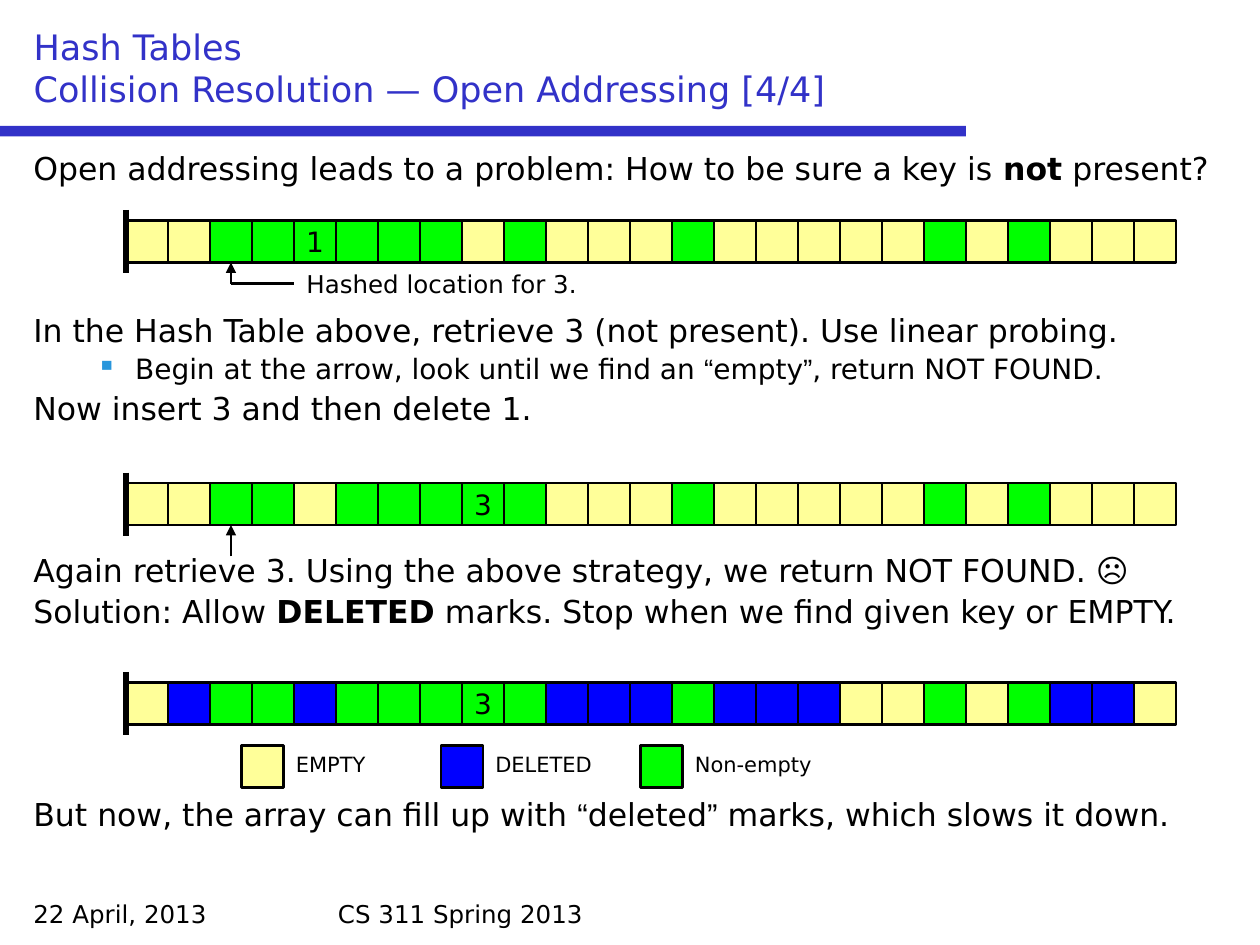
from lxml.etree import SubElement
from pptx import Presentation
from pptx.dml.color import RGBColor
from pptx.enum.shapes import MSO_CONNECTOR, MSO_SHAPE
from pptx.enum.text import MSO_ANCHOR, MSO_AUTO_SIZE, PP_ALIGN
from pptx.oxml.ns import qn
from pptx.util import Pt

PX = 7620  # EMU per px, 120 px to the inch
CELL = 40
LEFT = 120
FONT = "DejaVu Sans"

BLACK = RGBColor(0x00, 0x00, 0x00)
INDIGO = RGBColor(0x32, 0x32, 0xC8)
BULLET = "2896DC"
EMPTY = RGBColor(0xFF, 0xFF, 0x99)
DELETED = RGBColor(0x00, 0x00, 0xFF)
FILLED = RGBColor(0x00, 0xFF, 0x00)

prs = Presentation()
prs.slide_width, prs.slide_height = 1200 * PX, 900 * PX
s = prs.slides.add_slide(prs.slide_layouts[5])


def add_run(p, text, size, color=BLACK, name=FONT, bold=False):
    r = p.add_run()
    r.text = text
    r.font.size, r.font.name, r.font.bold = Pt(size), name, bold
    r.font.color.rgb = color


def add_line(x1, y1, x2, y2, width=1.25, arrow=False):
    c = s.shapes.add_connector(MSO_CONNECTOR.STRAIGHT, x1 * PX, y1 * PX, x2 * PX, y2 * PX)
    c.line.color.rgb = BLACK
    c.line.width = Pt(width)
    if arrow:
        SubElement(c.line._get_or_add_ln(), qn("a:tailEnd"), type="triangle")
    SubElement(c._element.spPr, qn("a:effectLst"))


# Title and rule
rule = s.shapes.add_shape(MSO_SHAPE.RECTANGLE, 0, 120 * PX, 920 * PX, 10 * PX)
rule.shadow.inherit = False
rule.fill.solid()
rule.fill.fore_color.rgb = INDIGO
rule.line.fill.background()

title = s.shapes.title
title.left, title.top, title.width, title.height = 20 * PX, 20 * PX, 1160 * PX, 90 * PX
tf = title.text_frame
tf.auto_size = MSO_AUTO_SIZE.NONE
tf.vertical_anchor = MSO_ANCHOR.BOTTOM
p = tf.paragraphs[0]
p.alignment = PP_ALIGN.LEFT
add_run(p, "Hash Tables", 20, INDIGO)
p.add_line_break()
add_run(p, "Collision Resolution — Open Addressing [4/4]", 20, INDIGO)

# Body: space before (pt), level, runs marked "b" bold, "q" quotation mark
BODY = [
    (0, 0, [("Open addressing leads to a problem: How to be sure a key is ", ""),
            ("not", "b"), (" present?", "")]),
    (73.2, 0, [("In the Hash Table above, retrieve 3 (not present). Use linear probing.", "")]),
    (3.7, 1, [("Begin at the arrow, look until we find an ", ""), ("“", "q"), ("empty", ""),
              ("”", "q"), (", return NOT FOUND.", "")]),
    (4.1, 0, [("Now insert 3 and then delete 1.", "")]),
    (73.2, 0, [("Again retrieve 3. Using the above strategy, we return NOT FOUND. ☹", "")]),
    (4.1, 0, [("Solution: Allow ", ""), ("DELETED", "b"),
              (" marks. Stop when we find given key or EMPTY.", "")]),
    (96.2, 0, [("But now, the array can fill up with ", ""), ("“", "q"), ("deleted", ""),
               ("”", "q"), (" marks, which slows it down.", "")]),
]
body = s.shapes.add_textbox(20 * PX, 140 * PX, 1160 * PX, 700 * PX)
tf = body.text_frame
tf.word_wrap = True
for i, (before, level, runs) in enumerate(BODY):
    p = tf.paragraphs[0] if i == 0 else tf.add_paragraph()
    p.level = level
    p.line_spacing = 0.9
    p.space_before = Pt(before)
    pPr = p._p.get_or_add_pPr()
    margin, hanging = (97, 37) if level else (45, 45)
    pPr.set("marL", str(margin * PX))
    pPr.set("indent", str(-hanging * PX))
    if level:
        SubElement(SubElement(pPr, qn("a:buClr")), qn("a:srgbClr"), val=BULLET)
        SubElement(pPr, qn("a:buChar"), char="▪")
    for text, mark in runs:
        add_run(p, text, 16 if level else 18, name="Arial" if mark == "q" else FONT,
                bold=mark == "b")

# Array cells: "." empty, "x" deleted, "#" or a digit non-empty
ARRAYS = [
    (210, "..##1###.#...#.....#.#..."),
    (460, "..##.###3#...#.....#.#..."),
    (650, ".x##x###3#xxx#xxx..#.#xx."),
]
LEGEND = [(230, ".", "EMPTY", 100), (420, "x", "DELETED", 120), (610, "#", "Non-empty", 140)]
cells = [(LEFT + i * CELL, y, mark) for y, marks in ARRAYS for i, mark in enumerate(marks)]
cells += [(x, 710, mark) for x, mark, name, w in LEGEND]
for x, y, mark in cells:
    sp = s.shapes.add_shape(MSO_SHAPE.RECTANGLE, x * PX, y * PX, CELL * PX, CELL * PX)
    sp.shadow.inherit = False
    sp.fill.solid()
    sp.fill.fore_color.rgb = {".": EMPTY, "x": DELETED}.get(mark, FILLED)
    sp.line.color.rgb = BLACK
    sp.line.width = Pt(1.25)
    if mark.isdigit():
        tf = sp.text_frame
        tf.word_wrap = False
        tf.vertical_anchor = MSO_ANCHOR.MIDDLE
        tf.paragraphs[0].alignment = PP_ALIGN.CENTER
        add_run(tf.paragraphs[0], mark, 16)

for y, marks in ARRAYS:
    add_line(LEFT, y - 10, LEFT, y + 50, width=3)

# Arrows to the hashed location
add_line(280, 270, 220, 270)
add_line(220, 270, 220, 250, arrow=True)
add_line(220, 530, 220, 500, arrow=True)

# Labels and footer
labels = [(280, 250, 300, 41, "Hashed location for 3.", 14),
          (20, 850, 280, 40, "22 April, 2013", 14),
          (310, 850, 580, 40, "CS 311 Spring 2013", 14)]
labels += [(x + CELL, 710, w, 36, name, 12) for x, mark, name, w in LEGEND]
for x, y, w, h, text, size in labels:
    tf = s.shapes.add_textbox(x * PX, y * PX, w * PX, h * PX).text_frame
    tf.word_wrap = True
    add_run(tf.paragraphs[0], text, size)

prs.save("out.pptx")
